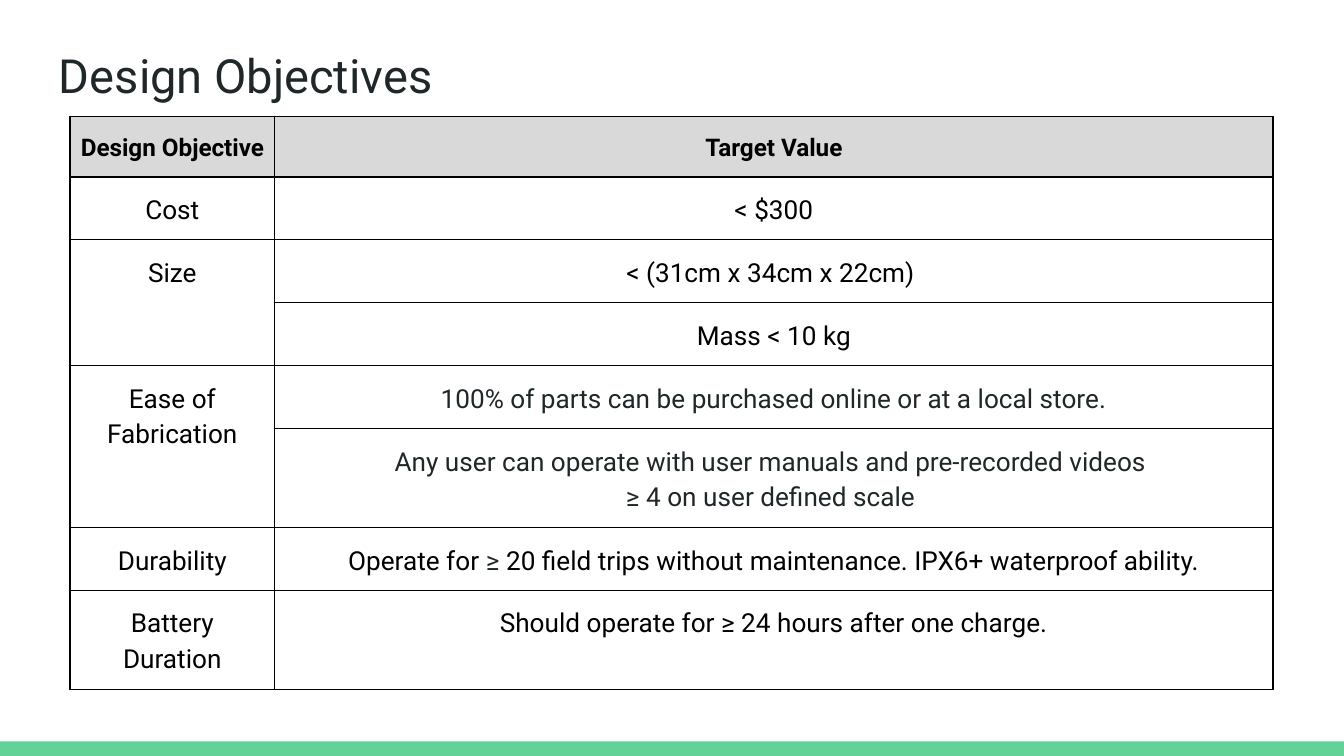
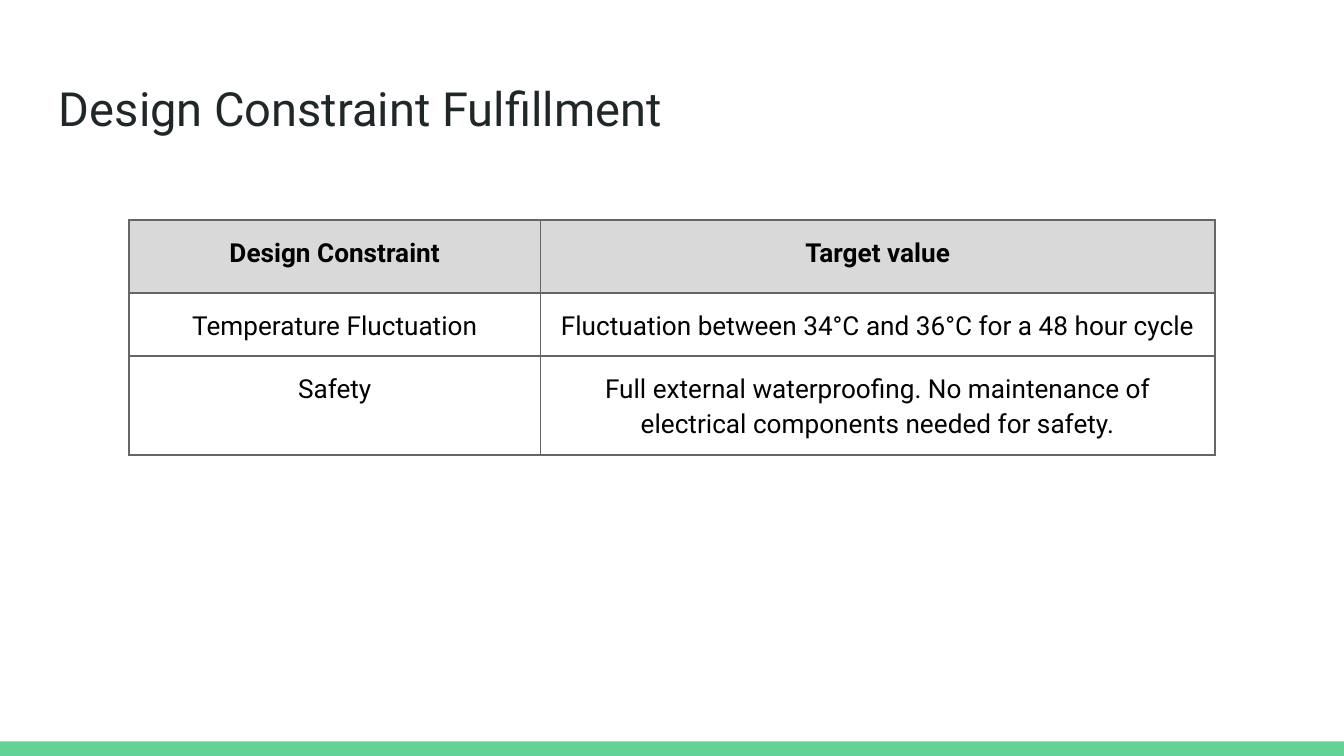
from lxml.etree import SubElement
from pptx import Presentation
from pptx.dml.color import RGBColor
from pptx.enum.shapes import MSO_SHAPE
from pptx.enum.text import MSO_ANCHOR, PP_ALIGN
from pptx.oxml.ns import qn
from pptx.util import Pt

COLORS = {
    "band": "63D297",
    "title": "202729",
    "text": "000000",
    "header": "D9D9D9",
    "black": "000000",
    "gray": "666666",
}
FONT = "Roboto"
WIDTH, HEIGHT = 720, 405
BAND_HEIGHT = 7.8


def add_run(p, text, size, color, bold=False):
    r = p.add_run()
    r.text = text
    r.font.name = FONT
    r.font.size = Pt(size)
    r.font.bold = bold
    r.font.color.rgb = RGBColor.from_string(COLORS[color])


def set_borders(cell, color):
    tcPr = cell._tc.get_or_add_tcPr()
    for i, tag in enumerate(("a:lnL", "a:lnR", "a:lnT", "a:lnB")):
        ln = tcPr.makeelement(qn(tag), {"w": str(Pt(1))})
        fill = SubElement(ln, qn("a:solidFill"))
        SubElement(fill, qn("a:srgbClr"), val=COLORS[color])
        tcPr.insert(i, ln)


# Each cell is a list of paragraphs, each paragraph a list of (text, color) runs.
objectives = [
    [[[("Design Objective", "text")]], [[("Target Value", "text")]]],
    [[[("Cost", "text")]], [[("< $300", "text")]]],
    [[[("Size", "text")]], [[("< (31cm x 34cm x 22cm) ", "text")]]],
    [[], [[("Mass < 10 kg", "text")]]],
    [
        [[("Ease of Fabrication", "text")]],
        [[("100% of parts can be purchased online or at a local store.", "title")]],
    ],
    [
        [],
        [
            [("Any user can operate with user manuals and pre-recorded videos ", "title")],
            [("≥ 4 on user defined scale ", "title")],
        ],
    ],
    [
        [[("Durability", "text")]],
        [[
            ("Operate for ", "text"),
            ("≥", "title"),
            (" 20 field trips without maintenance. IPX6+ waterproof ability.", "text"),
        ]],
    ],
    [
        [[("Battery Duration", "text")]],
        [[("Should operate for ≥ 24 hours after one charge.", "text")]],
    ],
]
constraints = [
    [[[("Design Constraint", "text")]], [[("Target value", "text")]]],
    [
        [[("Temperature Fluctuation", "text")]],
        [[("Fluctuation between 34°C and 36°C for a 48 hour cycle", "text")]],
    ],
    [
        [[("Safety", "text")]],
        [[(
            "Full external waterproofing. No maintenance of "
            "electrical components needed for safety.",
            "text",
        )]],
    ],
]

slides = [
    {
        "title": "Design Objectives",
        "title_top": 17.3,
        "at": (37.6, 62.3),
        "cols": [109.5, 535],
        "rows": [31, 28, 32.5, 27.5, 28, 47.5, 27.5, 34.5],
        "cells": objectives,
        "merged": [2, 4],
        "header_size": 13,
        "border": "black",
    },
    {
        "title": "Design Constraint Fulfillment",
        "title_top": 35,
        "at": (69.2, 118),
        "cols": [220.3, 361.5],
        "rows": [38.9, 32.4, 49.7],
        "cells": constraints,
        "merged": [],
        "header_size": 14,
        "border": "gray",
    },
]

prs = Presentation()
prs.slide_width = Pt(WIDTH)
prs.slide_height = Pt(HEIGHT)

for info in slides:
    s = prs.slides.add_slide(prs.slide_layouts[6])

    band = s.shapes.add_shape(
        MSO_SHAPE.RECTANGLE, 0, Pt(HEIGHT - BAND_HEIGHT), Pt(WIDTH), Pt(BAND_HEIGHT)
    )
    band.shadow.inherit = False
    band.fill.solid()
    band.fill.fore_color.rgb = RGBColor.from_string(COLORS["band"])
    band.line.fill.background()

    title = s.shapes.add_textbox(Pt(24.5), Pt(info["title_top"]), Pt(671), Pt(45))
    tf = title.text_frame
    tf.word_wrap = True
    tf.vertical_anchor = MSO_ANCHOR.BOTTOM
    tf.margin_left = tf.margin_right = tf.margin_top = tf.margin_bottom = Pt(7.2)
    add_run(tf.paragraphs[0], info["title"], 25.2, "title")

    cols, rows = info["cols"], info["rows"]
    left, top = info["at"]
    table = s.shapes.add_table(
        len(rows), len(cols), Pt(left), Pt(top), Pt(sum(cols)), Pt(sum(rows))
    ).table
    table.first_row = False
    table.horz_banding = False
    for col, width in zip(table.columns, cols):
        col.width = Pt(width)
    for row, height in zip(table.rows, rows):
        row.height = Pt(height)

    for i, row in enumerate(info["cells"]):
        for j, paragraphs in enumerate(row):
            cell = table.cell(i, j)
            cell.margin_left = cell.margin_right = Pt(5)
            cell.margin_top = cell.margin_bottom = Pt(7.2)
            if i == 0:
                cell.fill.solid()
                cell.fill.fore_color.rgb = RGBColor.from_string(COLORS["header"])
            else:
                cell.fill.background()
            set_borders(cell, info["border"])
            tf = cell.text_frame
            for k, runs in enumerate(paragraphs):
                p = tf.add_paragraph() if k else tf.paragraphs[0]
                p.alignment = PP_ALIGN.CENTER
                p.line_spacing = 1.15
                for text, color in runs:
                    add_run(p, text, 14 if i else info["header_size"], color, i == 0)

    for i in info["merged"]:
        table.cell(i, 0).merge(table.cell(i + 1, 0))

prs.save("out.pptx")
